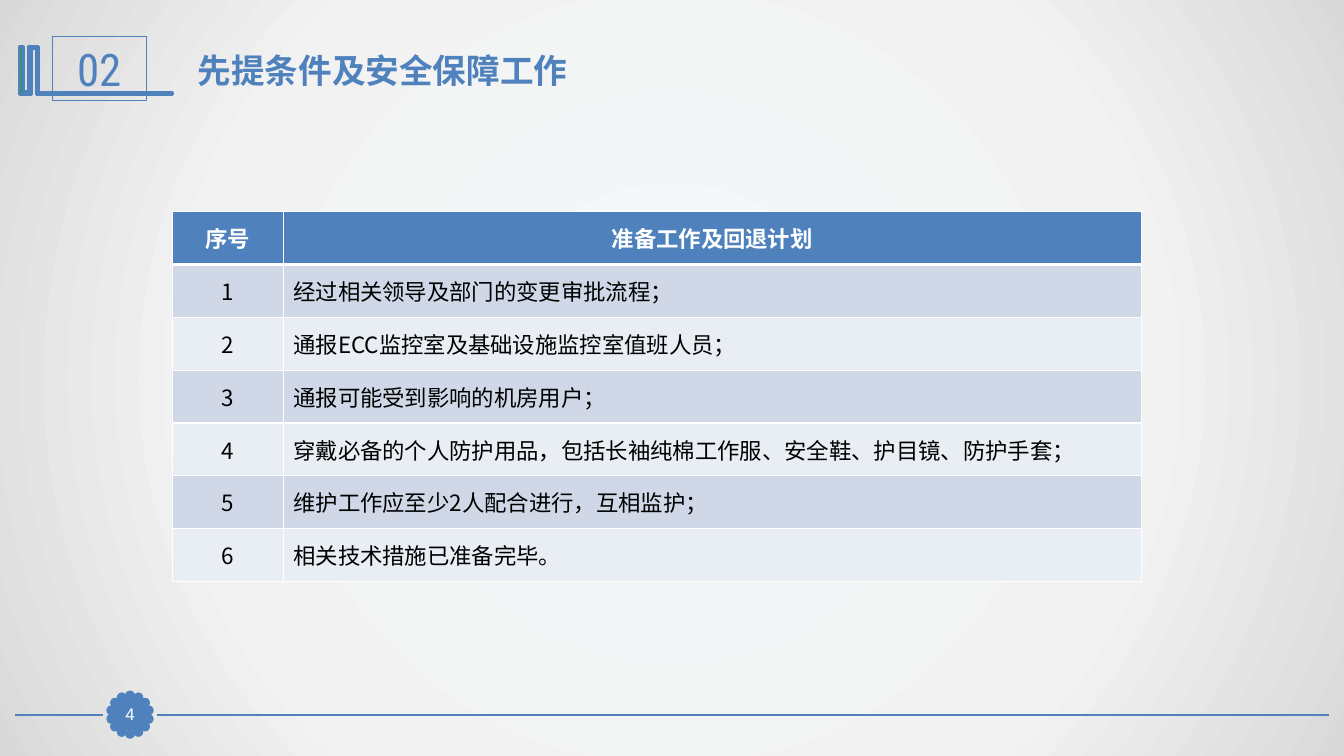
"""Builds the slide on preconditions and safety measures."""
import math

import pptx
import pptx.dml.color
import pptx.enum.shapes
import pptx.enum.text
import pptx.oxml
import pptx.oxml.ns
import pptx.util

Inches, Pt, qn = pptx.util.Inches, pptx.util.Pt, pptx.oxml.ns.qn
SHAPE = pptx.enum.shapes.MSO_SHAPE
CENTER, LEFT = pptx.enum.text.PP_ALIGN.CENTER, pptx.enum.text.PP_ALIGN.LEFT
MIDDLE = pptx.enum.text.MSO_ANCHOR.MIDDLE
BLUE, WHITE, BLACK = "4F81BD", "FFFFFF", "000000"
BANDS = ["D0D8E8", "E9EDF4"]
CJK = "Noto Sans CJK SC"
HEADINGS = ["序号", "准备工作及回退计划"]
TASKS = [
    "经过相关领导及部门的变更审批流程；",
    "通报ECC监控室及基础设施监控室值班人员；",
    "通报可能受到影响的机房用户；",
    "穿戴必备的个人防护用品，包括长袖纯棉工作服、安全鞋、护目镜、防护手套；",
    "维护工作应至少2人配合进行，互相监护；",
    "相关技术措施已准备完毕。",
]
BRACKET = [
    (0.18, 0), (0.19, 0), (0.19, 0.46), (1.52, 0.46), (1.52, 0.48),
    (0.17, 0.48), (0.17, 0.02), (0.12, 0.02), (0.12, 0.48), (0, 0.48),
    (0, 0), (0.04, 0), (0.04, 0.45), (0.09, 0.45), (0.09, 0),
]


def color(code):
    """Return the colour of a hex string."""
    return pptx.dml.color.RGBColor.from_string(code)


def element(markup):
    """Return a DrawingML element parsed from markup whose tag is open-ended."""
    tag, rest = markup.split(">", 1)
    space = pptx.oxml.ns.nsdecls("a")
    return pptx.oxml.parse_xml(f"{tag} {space}>{rest}")


def write(frame, text, size, font, code, bold=False, align=CENTER):
    """Write one formatted run into the first paragraph of a text frame."""
    para = frame.paragraphs[0]
    para.alignment = align
    span = para.add_run()
    span.text = text
    span.font.size, span.font.name, span.font.bold = Pt(size), font, bold
    span.font.color.rgb = color(code)
    latin = span.font._element.find(qn("a:latin"))
    latin.addnext(element(f'<a:ea typeface="{CJK}"></a:ea>'))


def style(shape, fill, width, line=BLUE):
    """Set the fill and outline of a shape and drop its shadow."""
    shape.shadow.inherit = False
    if fill:
        shape.fill.solid()
        shape.fill.fore_color.rgb = color(fill)
    else:
        shape.fill.background()
    shape.line.color.rgb = color(line)
    shape.line.width = Pt(width)


def add_shape(page, kind, box, fill, width):
    """Add a styled preset shape in a box given in inches."""
    shape = page.shapes.add_shape(kind, *map(Inches, box))
    style(shape, fill, width)
    return shape


def paint_background(page):
    """Fill the background with a radial grey gradient."""
    page.background.fill.gradient()
    gradient = next(page.element.iter(qn("a:gradFill")))
    for child in list(gradient):
        gradient.remove(child)
    stops = [(0, "F6F9FC"), (63, "F2F2F2"), (100, "D9D9D9")]
    marks = "".join(
        f'<a:gs pos="{place * 1000}"><a:srgbClr val="{code}"/></a:gs>'
        for place, code in stops)
    gradient.append(element(f"<a:gsLst>{marks}</a:gsLst>"))
    gradient.append(element(
        '<a:path path="circle"><a:fillToRect l="50000" t="50000" '
        'r="50000" b="50000"/></a:path>'))


def add_header(page, left, top):
    """Place the bracket, section number and title from a top left corner."""
    points = [(Inches(left + x), Inches(top + 0.1 + y)) for x, y in BRACKET]
    builder = page.shapes.build_freeform(*points[0], scale=1.0)
    builder.add_line_segments(points[1:], close=True)
    style(builder.convert_to_shape(), "339933", 2)

    number = add_shape(page, SHAPE.RECTANGLE,
                       (left + 0.33, top, 0.93, 0.64), None, 0.75)
    number.text_frame.vertical_anchor = MIDDLE
    write(number.text_frame, "02", 32, "Roboto Condensed", BLUE)

    title = page.shapes.title
    title.left, title.top = Inches(left + 1.67), Inches(top + 0.08)
    title.width, title.height = Inches(9.69), Inches(0.5)
    frame = title.text_frame
    frame.word_wrap = True
    frame.auto_size = pptx.enum.text.MSO_AUTO_SIZE.NONE
    frame.vertical_anchor = MIDDLE
    write(frame, "先提条件及安全保障工作", 24, "Arial", BLUE, True, LEFT)


def set_borders(cell, top, bottom):
    """Draw white borders round a cell with given top and bottom widths."""
    props = cell._tc.get_or_add_tcPr()
    sides = [("L", 1), ("R", 1), ("T", top), ("B", bottom)]
    for index, (side, width) in enumerate(sides):
        props.insert(index, element(
            f'<a:ln{side}><a:solidFill><a:srgbClr val="{WHITE}"/>'
            f'</a:solidFill></a:ln{side}>'))
        props[index].set("w", str(Pt(width)))


def add_task_table(page, left, top, width, height):
    """Place the numbered table of preparations in a box."""
    rows = [HEADINGS] + [[str(n), task] for n, task in enumerate(TASKS, 1)]
    table = page.shapes.add_table(
        len(rows), 2, *map(Inches, (left, top, width, height))).table
    table.columns[0].width = Inches(1.1)
    table.columns[1].width = Inches(width - 1.1)
    for r, row in enumerate(rows):
        table.rows[r].height = Inches(height / len(rows))
        head = r == 0
        for c, text in enumerate(row):
            cell = table.cell(r, c)
            cell.vertical_anchor = MIDDLE
            cell.fill.solid()
            cell.fill.fore_color.rgb = color(BLUE if head else BANDS[(r - 1) % 2])
            set_borders(cell, 3 if r == 1 else 1, 3 if head else 1)
            write(cell.text_frame, text, 16, CJK, WHITE if head else BLACK,
                  head, CENTER if head or c == 0 else LEFT)


def add_footer(page, left, right, middle):
    """Place the rule and scalloped page number badge on a centre height."""
    center, radius, dot, count = left + 1.14, 0.19, 0.07, 14
    for start, end in [(right, center + 0.27), (center - 0.27, left)]:
        rule = page.shapes.add_connector(
            pptx.enum.shapes.MSO_CONNECTOR.STRAIGHT,
            *map(Inches, (start, middle, end, middle)))
        rule.line.color.rgb = color(BLUE)
        rule.line.width = Pt(1.25)
        rule._element.spPr.append(element("<a:effectLst></a:effectLst>"))
    for step in range(count):
        angle = 2 * math.pi * step / count
        x = center + radius * math.sin(angle) - dot / 2
        y = middle - radius * math.cos(angle) - dot / 2
        add_shape(page, SHAPE.OVAL, (x, y, dot, dot), BLUE, 2)
    badge = add_shape(page, SHAPE.RECTANGLE,
                      (center - 0.16, middle - 0.16, 0.32, 0.31), BLUE, 0.75)
    frame = badge.text_frame
    frame.margin_left = frame.margin_right = 0
    frame.margin_top = frame.margin_bottom = 0
    frame.vertical_anchor = MIDDLE
    write(frame, "4", 12, "Arial", WHITE)


def main():
    """Build the deck and save it."""
    deck = pptx.Presentation()
    deck.slide_width, deck.slide_height = Inches(13.33), Inches(7.5)
    page = deck.slides.add_slide(deck.slide_layouts.get_by_name("Title Only"))
    paint_background(page)
    add_footer(page, 0.15, 13.18, 7.09)
    add_header(page, 0.19, 0.36)
    add_task_table(page, 1.71, 2.1, 9.61, 3.67)
    deck.save("out.pptx")


if __name__ == "__main__":
    main()
